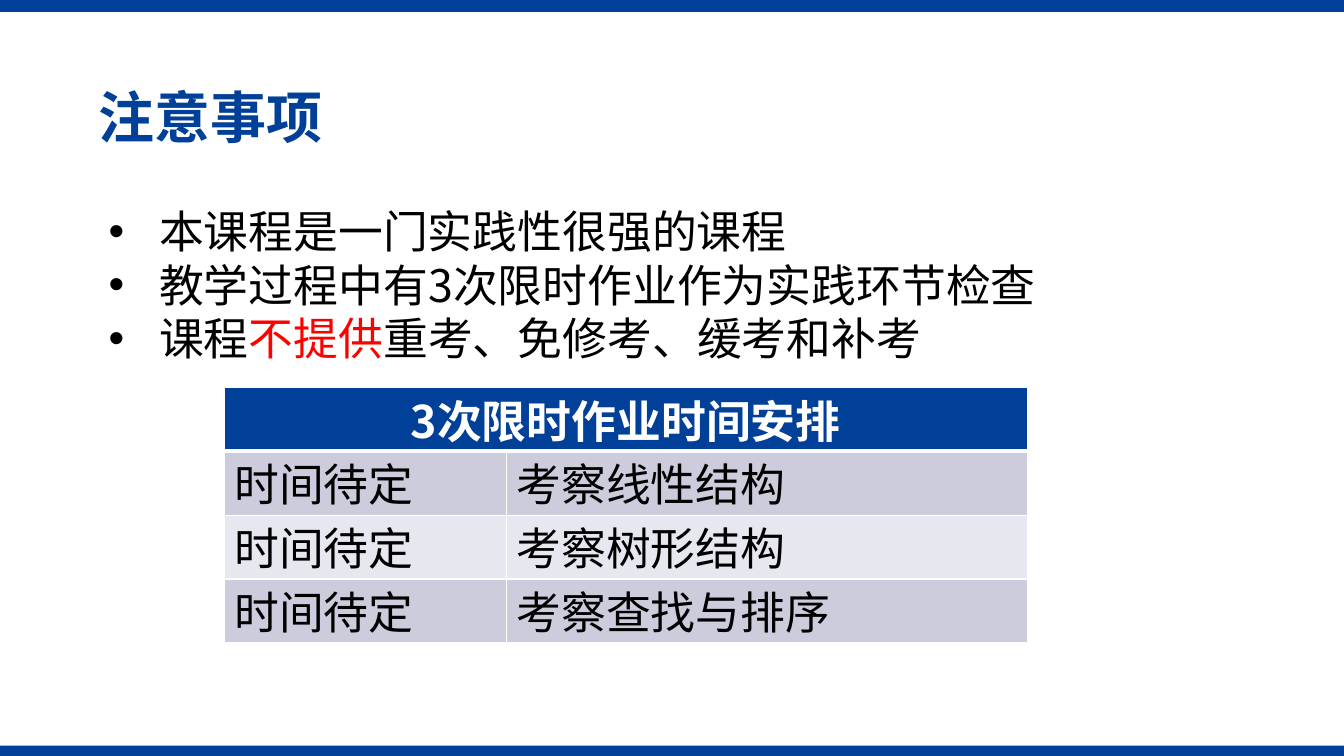
"""Build the course notice slide with its assignment schedule."""
from dataclasses import dataclass

from lxml.etree import SubElement
from pptx import Presentation
from pptx.dml.color import RGBColor
from pptx.enum.shapes import MSO_SHAPE as Preset
from pptx.enum.text import MSO_ANCHOR as Anchor, PP_ALIGN as Align
from pptx.oxml import parse_xml
from pptx.oxml.ns import nsdecls, qn
from pptx.util import Cm, Pt


@dataclass(frozen=True)
class Theme:
    font: str = "Noto Sans CJK SC"
    blue: str = "004098"
    black: str = "000000"
    red: str = "FF0000"
    white: str = "FFFFFF"
    bands: tuple = ("CCCCDD", "E7E8EF")
    title_size: float = 40
    body_size: float = 32
    body_line: float = 38.4


theme = Theme()


def style_run(run, color, size=theme.body_size, bold=False):
    run.font.size = Pt(size)
    run.font.bold = bold
    run.font.color.rgb = RGBColor.from_string(color)
    run.font.name = theme.font
    SubElement(run.font._element, qn("a:ea"), typeface=theme.font)


def style_cell(cell, fill, borders):
    cell.margin_top, cell.margin_bottom = Cm(0.25), Cm(0)
    cell.fill.solid()
    cell.fill.fore_color.rgb = RGBColor.from_string(fill)
    properties = cell._tc.get_or_add_tcPr()
    for position, (side, points) in enumerate(borders.items()):
        properties.insert(position, parse_xml(
            f'<a:ln{side} {nsdecls("a")} w="{Pt(points)}"><a:solidFill>'
            f'<a:srgbClr val="{theme.white}"/></a:solidFill></a:ln{side}>'))


deck = Presentation()
deck.slide_width, deck.slide_height = Cm(33.87), Cm(19.05)
slide = deck.slides.add_slide(deck.slide_layouts[6])

for top, height in ((18.79, 0.26), (0, 0.3)):
    bar = slide.shapes.add_shape(Preset.RECTANGLE, Cm(0), Cm(top), deck.slide_width, Cm(height))
    bar.shadow.inherit = False
    bar.fill.solid()
    bar.fill.fore_color.rgb = RGBColor.from_string(theme.blue)
    bar.line.fill.background()

title = slide.shapes.add_textbox(Cm(2.24), Cm(2), Cm(20.83), Cm(2.06)).text_frame
title.word_wrap = True
title.vertical_anchor = Anchor.MIDDLE
title.text = "注意事项"
title.paragraphs[0].line_spacing = 0.9
style_run(title.paragraphs[0].runs[0], theme.blue, theme.title_size, True)

notices = (
    (("本课程是一门实践性很强的课程", theme.black),),
    (("教学过程中有3次限时作业作为实践环节检查", theme.black),),
    (("课程", theme.black), ("不提供", theme.red), ("重考、免修考、缓考和补考", theme.black)),
)
notes = slide.shapes.add_textbox(Cm(2.49), Cm(4.93), Cm(26.64), Cm(5.56)).text_frame
notes.word_wrap = True
notes.margin_top = Cm(0.2)
for number, notice in enumerate(notices):
    item = notes.paragraphs[0] if number == 0 else notes.add_paragraph()
    item.line_spacing = Pt(theme.body_line)
    properties = item._p.get_or_add_pPr()
    properties.set("marL", str(Cm(1.27)))
    properties.set("indent", str(-Cm(1.27)))
    SubElement(properties, qn("a:buFont"), typeface="Arial")
    SubElement(properties, qn("a:buChar"), char="•")
    for wording, color in notice:
        run = item.add_run()
        run.text = wording
        style_run(run, color)

rows = (
    ("3次限时作业时间安排", ""),
    ("时间待定", "考察线性结构"),
    ("时间待定", "考察树形结构"),
    ("时间待定", "考察查找与排序"),
)
row_height = Cm(1.61)
schedule = slide.shapes.add_table(
    len(rows), 2, Cm(5.65), Cm(9.76), Cm(20.24), row_height * len(rows)).table
schedule.columns[0].width, schedule.columns[1].width = Cm(7.11), Cm(13.13)
schedule.cell(0, 0).merge(schedule.cell(0, 1))
for row_number, row in enumerate(rows):
    schedule.rows[row_number].height = row_height
    heading = row_number == 0
    fill = theme.blue if heading else theme.bands[(row_number - 1) % 2]
    borders = {"L": 1, "R": 1, "T": 3 if row_number == 1 else 1, "B": 3 if heading else 1}
    for column_number, wording in enumerate(row):
        cell = schedule.cell(row_number, column_number)
        style_cell(cell, fill, borders)
        if wording:
            cell.text_frame.text = wording
            entry = cell.text_frame.paragraphs[0]
            entry.alignment = Align.CENTER if heading else Align.LEFT
            entry.line_spacing = Pt(theme.body_line)
            style_run(entry.runs[0], theme.white if heading else theme.black, bold=heading)

deck.save("out.pptx")
